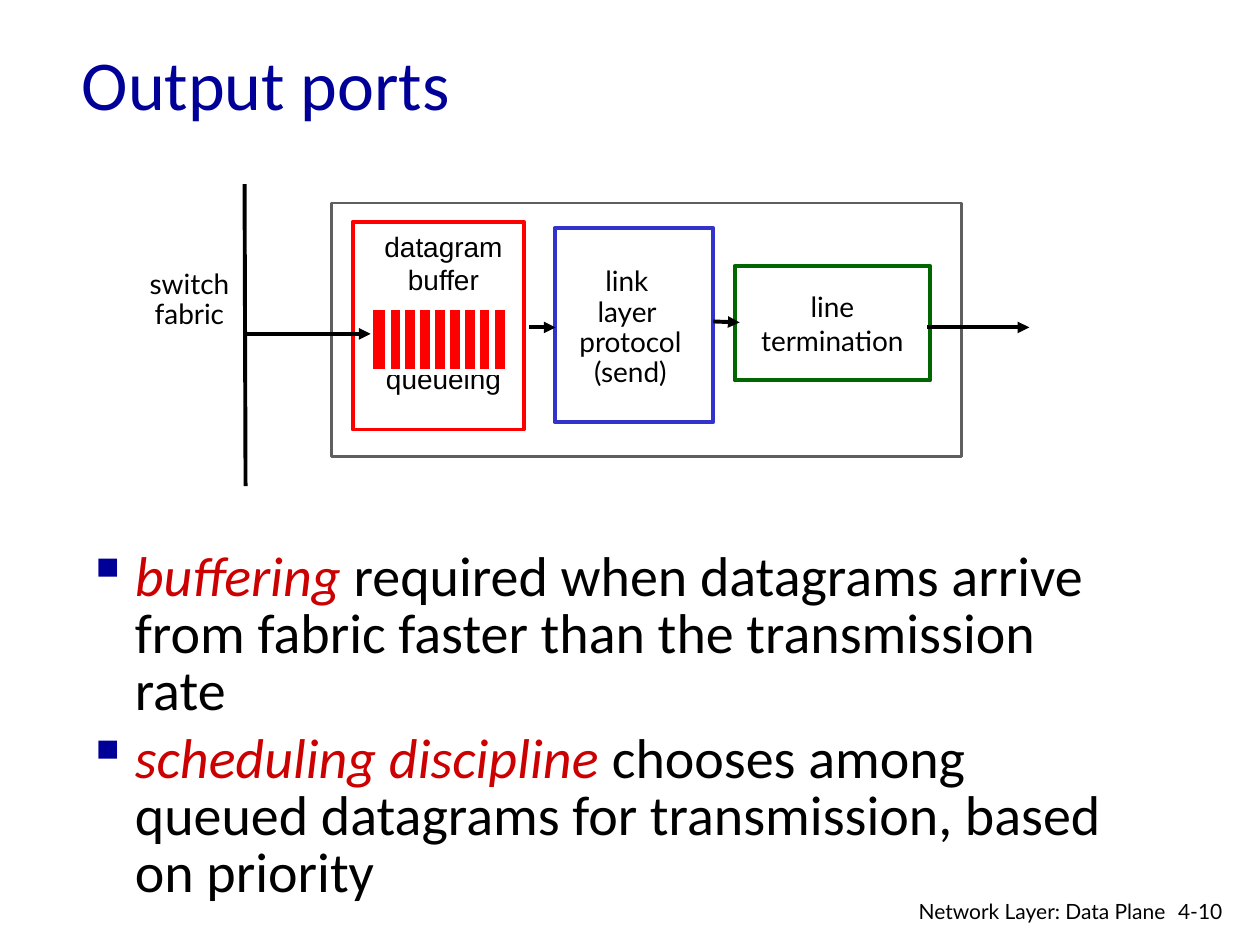
from lxml import etree
from pptx import Presentation
from pptx import util as u
from pptx.dml import color
from pptx.enum import shapes, text
from pptx.oxml import ns

MID = text.PP_ALIGN.CENTER
BLACK, WHITE, RED, NAVY = "000000", "FFFFFF", "FF0000", "000099"


def rgb(code):
    return color.RGBColor.from_string(code)


def cms(*nums):
    return [u.Cm(n) for n in nums]


class Deck:
    """Holds the text style and the current slide, and draws each kind of element."""

    font = "Lato"
    size = 16

    def __init__(self, wide, high):
        self.prs = Presentation()
        self.prs.slide_width, self.prs.slide_height = cms(wide, high)
        self.slide = self.prs.slides.add_slide(self.prs.slide_layouts[6])

    def style(self, run, font=None, size=None, ink=BLACK, slant=False):
        run.font.name = font or self.font
        run.font.size = u.Pt(size or self.size)
        run.font.color.rgb = rgb(ink)
        run.font.italic = slant

    def fill_in(self, frame, words, align=MID, space=None, **look):
        frame.text = words
        for para in frame.paragraphs:
            para.alignment = align
            para.line_spacing = space
            for run in para.runs:
                self.style(run, **look)

    def box(self, place, fill=WHITE, line=None, width=2.25, words="", space=None):
        shape = self.slide.shapes.add_shape(shapes.MSO_SHAPE.RECTANGLE, *cms(*place))
        shape.shadow.inherit = False
        shape.fill.solid()
        shape.fill.fore_color.rgb = rgb(fill)
        if line:
            shape.line.color.rgb = rgb(line)
            shape.line.width = u.Pt(width)
        else:
            shape.line.fill.background()
        if words:
            shape.text_frame.word_wrap = False
            shape.text_frame.vertical_anchor = text.MSO_ANCHOR.MIDDLE
            self.fill_in(shape.text_frame, words, space=space)

    def label(self, place, words, wrap=True, anchor=text.MSO_ANCHOR.TOP, **look):
        frame = self.slide.shapes.add_textbox(*cms(*place)).text_frame
        frame.word_wrap = wrap
        frame.vertical_anchor = anchor
        self.fill_in(frame, words, **look)
        return frame

    def line(self, ends, ink=BLACK, width=2.25, arrow=False):
        link = self.slide.shapes.add_connector(shapes.MSO_CONNECTOR.STRAIGHT, *cms(*ends))
        link.line.color.rgb = rgb(ink)
        link.line.width = u.Pt(width)
        if arrow:
            edge = link._element.spPr.find(ns.qn("a:ln"))
            etree.SubElement(edge, ns.qn("a:tailEnd"), type="triangle")
        etree.SubElement(link._element.spPr, ns.qn("a:effectLst"))

    def points(self, place, items, size):
        frame = self.slide.shapes.add_textbox(*cms(*place)).text_frame
        frame.word_wrap = True
        for i, (term, rest) in enumerate(items):
            para = frame.add_paragraph() if i else frame.paragraphs[0]
            para.line_spacing = 0.85
            if i:
                para.space_before = u.Pt(size * 0.2)
            props = para._p.get_or_add_pPr()
            props.set("marL", str(u.Cm(0.97)))
            props.set("indent", str(-u.Cm(0.97)))
            tint = etree.SubElement(props, ns.qn("a:buClr"))
            etree.SubElement(tint, ns.qn("a:srgbClr"), val=NAVY)
            etree.SubElement(props, ns.qn("a:buChar"), char="▪")
            for words, ink, slant in ((term, "CC0000", True), (rest, BLACK, False)):
                run = para.add_run()
                run.text = words
                self.style(run, "Calibri", size, ink, slant)


def main():
    deck = Deck(25.4, 19.05)
    deck.label((1.4, 0.71, 21.59, 1.9), "Output ports", anchor=text.MSO_ANCHOR.MIDDLE,
               align=text.PP_ALIGN.LEFT, font="Calibri", size=40, ink=NAVY)
    deck.points((1.5, 10.97, 21.59, 2.54), [
        ("buffering", " required when datagrams arrive from fabric faster than the transmission rate"),
        ("scheduling discipline", " chooses among queued datagrams for transmission, based on priority"),
    ], 32)

    deck.box((6.68, 4.09, 12.7, 5.11), line="5F5F5F", width=1.5)
    deck.box((14.81, 5.36, 3.94, 2.31), line="006600", words="line\ntermination")
    deck.box((11.18, 4.6, 3.2, 3.91), line="3333CC")
    for ends in ((10.67, 6.6, 11.2, 6.6), (14.38, 6.48, 14.91, 6.5), (18.69, 6.6, 20.75, 6.6)):
        deck.line(ends, arrow=True)
    deck.box((11.25, 5.46, 2.92, 2.31), words="link \nlayer \nprotocol\n(send)", space=0.9)
    deck.box((2.36, 4.9, 2.92, 2.31), words="switch\nfabric", space=0.9)

    deck.box((7.11, 4.47, 3.45, 4.19), line=RED)
    queue = deck.label((7.34, 4.5, 3.2, 4.06), "datagram\nbuffer\nqueueing", wrap=False, font="Arial")
    queue.paragraphs[2].space_before = u.Pt(37)
    deck.box((7.47, 6.2, 2.77, 1.3), fill=RED, line=WHITE, width=3)
    for i in range(8):
        x = 7.82 + 0.3 * i
        deck.line((x, 6.22, x, 7.47), WHITE, 3)

    deck.line((4.93, 3.71, 4.95, 9.8))
    deck.line((4.9, 6.73, 7.47, 6.73), arrow=True)
    deck.label((23.5, 17.98, 1.55, 0.76), "4-10", align=text.PP_ALIGN.LEFT, size=12)
    deck.label((17.7, 17.98, 6.05, 0.66), "Network Layer: Data Plane",
               align=text.PP_ALIGN.RIGHT, size=12)
    deck.prs.save("out.pptx")


if __name__ == "__main__":
    main()
